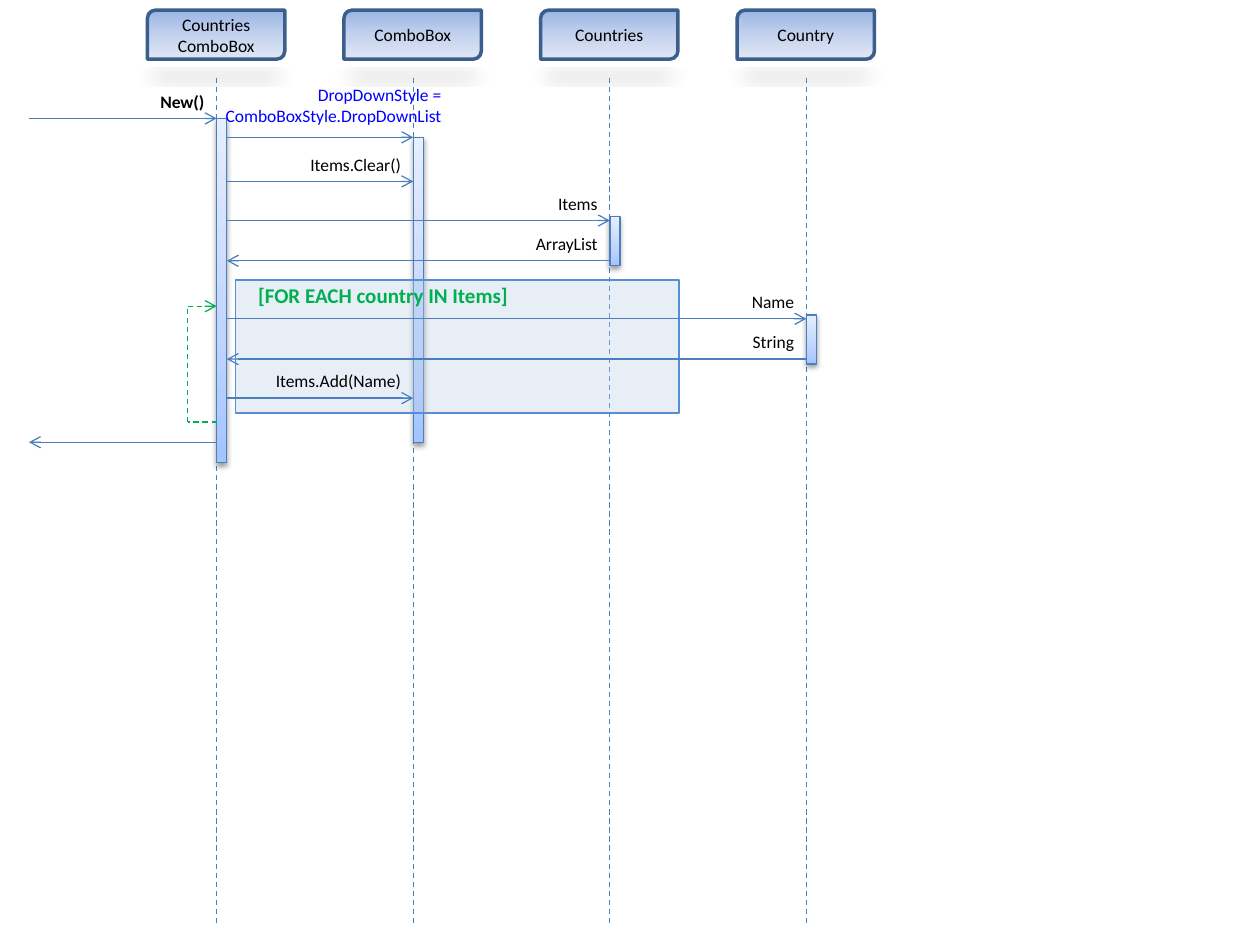
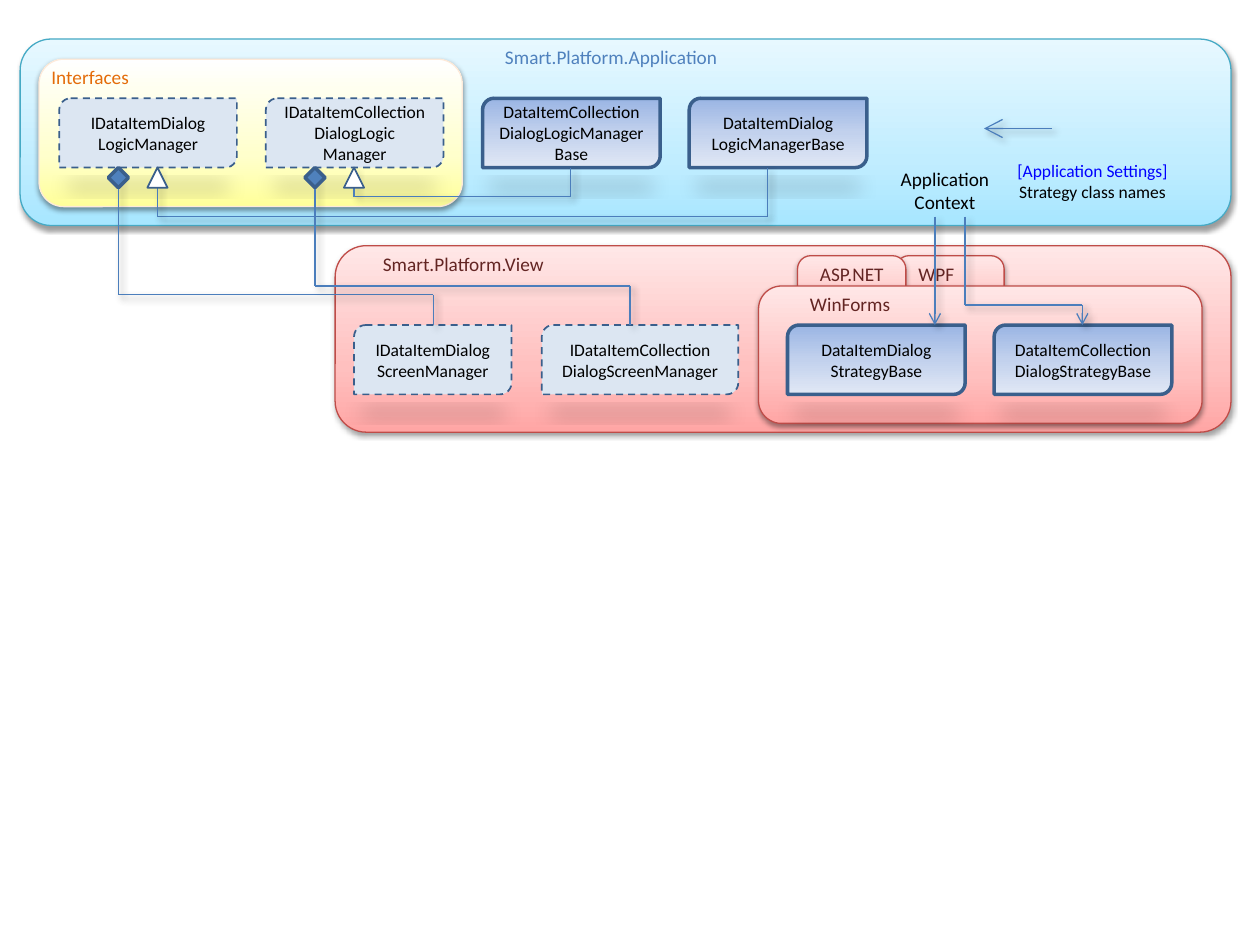
import pptx
import pptx.util
from pptx.dml.color import RGBColor
from pptx.enum.dml import MSO_LINE
from pptx.enum.shapes import MSO_CONNECTOR, MSO_SHAPE
from pptx.enum.text import MSO_ANCHOR, MSO_AUTO_SIZE, PP_ALIGN
from pptx.oxml import parse_xml
from pptx.oxml.ns import nsdecls, qn
from pptx.util import Inches

FONT = "Calibri"
BLACK = RGBColor(0x00, 0x00, 0x00)
WHITE = RGBColor(0xFF, 0xFF, 0xFF)
BLUE = RGBColor(0x00, 0x00, 0xFF)
GREEN = RGBColor(0x00, 0xB0, 0x50)
ORANGE = RGBColor(0xE4, 0x6C, 0x0A)
MAROON = RGBColor(0x63, 0x25, 0x23)
ACCENT = RGBColor(0x4F, 0x81, 0xBD)
LINE_BLUE = RGBColor(0x4B, 0x7E, 0xBC)
BORDER_BLUE = RGBColor(0x3A, 0x5F, 0x8C)
FRAME_FILL = RGBColor(0xB9, 0xCD, 0xE5)
FRAME_LINE = RGBColor(0x55, 0x8E, 0xD5)
INTERFACE_FILL = RGBColor(0xDC, 0xE6, 0xF2)
AQUA_LINE = RGBColor(0x46, 0xAA, 0xC5)
RED_LINE = RGBColor(0xBF, 0x4C, 0x48)
CREAM_LINE = RGBColor(0xFD, 0xEA, 0xDA)


def gradient(angle, middle, *colors):
    """Describe three stops, at 0, middle and 100 percent."""
    return angle, list(zip((0, middle, 100), colors))


CLASS_FILL = gradient(90, 50, RGBColor(0x9A, 0xB5, 0xE4),
                      RGBColor(0xC2, 0xD1, 0xED), RGBColor(0xE1, 0xE8, 0xF5))
BAR_FILL = gradient(270, 35, RGBColor(0xA4, 0xC4, 0xFF),
                    RGBColor(0xBF, 0xD4, 0xFF), RGBColor(0xE6, 0xEE, 0xFF))
AQUA_FILL = gradient(270, 35, RGBColor(0xA7, 0xE6, 0xFF),
                     RGBColor(0xC1, 0xED, 0xFF), RGBColor(0xE7, 0xF8, 0xFF))
YELLOW_FILL = gradient(270, 35, RGBColor(0xFF, 0xFF, 0x99),
                       RGBColor(0xFF, 0xFF, 0xCC), WHITE)
RED_FILL = gradient(270, 35, RGBColor(0xFF, 0xA6, 0xA5),
                    RGBColor(0xFF, 0xC0, 0xBF), RGBColor(0xFF, 0xE7, 0xE7))

# Shadows: opacity percent, blur and distance in points, angle, extra scaling
BAR_SHADOW = (38, 3.1, 1.6, 90, "")
CLASS_SHADOW = (15, 12, 7, 90, 'sx="90000" sy="-19000"')
LINE_SHADOW = (40, 4, 3, 45, "")

LIFELINE_X = [1.72 + 1.56 * i for i in range(4)]
BAR_W = 0.08


def set_shadow(effects, shadow):
    alpha, blur, dist, angle, scaling = shadow
    effects.append(parse_xml(
        f'<a:outerShdw {nsdecls("a")} blurRad="{round(blur * 12700)}" '
        f'dist="{round(dist * 12700)}" dir="{angle * 60000}" {scaling} '
        f'rotWithShape="0"><a:srgbClr val="{BLACK}">'
        f'<a:alpha val="{alpha * 1000}"/></a:srgbClr></a:outerShdw>'))


def set_gradient(shape, fill):
    angle, stops = fill
    stops_xml = "".join(f'<a:gs pos="{pos * 1000}"><a:srgbClr val="{color}"/></a:gs>'
                        for pos, color in stops)
    shape._element.spPr.find(qn("a:prstGeom")).addnext(parse_xml(
        f'<a:gradFill {nsdecls("a")} rotWithShape="1"><a:gsLst>{stops_xml}</a:gsLst>'
        f'<a:lin ang="{angle * 60000}" scaled="0"/></a:gradFill>'))


def write(tf, paragraphs, size, align, bold=False):
    """Fill a frame; each paragraph is a list of (text, colour) runs."""
    tf.word_wrap = True
    for i, runs in enumerate(paragraphs):
        p = tf.paragraphs[0] if i == 0 else tf.add_paragraph()
        p.alignment = align
        for text, color in runs:
            r = p.add_run()
            r.text = text
            r.font.name = FONT
            r.font.size = pptx.util.Pt(size)
            r.font.bold = bold
            r.font.color.rgb = color


def add_box(s, kind, at, fill, line, width=0.75, shadow=None, dash=False):
    sp = s.shapes.add_shape(kind, *map(Inches, at))
    if isinstance(fill, RGBColor):
        sp.fill.solid()
        sp.fill.fore_color.rgb = fill
    else:
        set_gradient(sp, fill)
    sp.line.color.rgb = line
    sp.line.width = pptx.util.Pt(width)
    if dash:
        sp.line.dash_style = MSO_LINE.DASH
    sp.shadow.inherit = False
    if shadow:
        set_shadow(sp._element.spPr.find(qn("a:effectLst")), shadow)
    return sp


def add_class(s, at, lines, interface=False):
    """Class box; an interface is pale with a dashed border."""
    fill, width = (INTERFACE_FILL, 1) if interface else (CLASS_FILL, 2)
    sp = add_box(s, MSO_SHAPE.ROUND_2_DIAG_RECTANGLE, at, fill, BORDER_BLUE, width,
                 CLASS_SHADOW, interface)
    sp.text_frame.vertical_anchor = MSO_ANCHOR.MIDDLE
    write(sp.text_frame, [[(text, BLACK)] for text in lines], 10, PP_ALIGN.CENTER)


def add_panel(s, at, fill, line):
    add_box(s, MSO_SHAPE.ROUNDED_RECTANGLE, at, fill, line, shadow=BAR_SHADOW)


def add_text(s, at, paragraphs, size=11, align=PP_ALIGN.LEFT, bold=False):
    tf = s.shapes.add_textbox(*map(Inches, at)).text_frame
    tf.auto_size = MSO_AUTO_SIZE.SHAPE_TO_FIT_TEXT
    write(tf, paragraphs, size, align, bold)


def add_route(s, points, color=LINE_BLUE, arrow=None, dash=False, shadow=None):
    """Join points by straight connectors; arrow is the size of a final head."""
    for start, end in zip(points, points[1:]):
        c = s.shapes.add_connector(MSO_CONNECTOR.STRAIGHT, *map(Inches, start + end))
        c.line.color.rgb = color
        c.line.width = pptx.util.Pt(0.75)
        if dash:
            c.line.dash_style = MSO_LINE.DASH
        if arrow and end == points[-1]:
            c.line._get_or_add_ln().append(parse_xml(
                f'<a:tailEnd {nsdecls("a")} type="arrow" w="{arrow}" len="{arrow}"/>'))
        effects = parse_xml(f'<a:effectLst {nsdecls("a")}/>')
        if shadow:
            set_shadow(effects, shadow)
        c._element.spPr.append(effects)


def add_lifeline(s, x, lines, bar_top, bar_height):
    add_class(s, (x - 0.55, 0.08, 1.09, 0.39), lines)
    add_route(s, [(x, 0.62), (x, 7.34)], dash=True)
    add_box(s, MSO_SHAPE.RECTANGLE, (x, bar_top, BAR_W, bar_height), BAR_FILL,
            LINE_BLUE, shadow=BAR_SHADOW)


def add_message(s, start, end, y, text=None, width=1.5, bold=False):
    """Arrow with a label that ends above its right-hand end."""
    add_route(s, [(start, y), (end, y)], arrow="med")
    if text:
        add_text(s, (max(start, end) - width, y - 0.27, width, 0.27),
                 [[(text, BLACK)]], 10, PP_ALIGN.RIGHT, bold)


def build_sequence(s):
    form, combo, countries, country = LIFELINE_X
    form_right = form + BAR_W
    add_lifeline(s, form, ["Countries", "ComboBox"], 0.94, 2.73)
    add_lifeline(s, combo, ["ComboBox"], 1.09, 2.42)
    add_lifeline(s, countries, ["Countries"], 1.72, 0.39)
    add_lifeline(s, country, ["Country"], 2.5, 0.39)

    add_message(s, 0.23, form, 0.94, "New()", 0.64, bold=True)
    add_text(s, (1.17, 0.62, 2.43, 0.44),
             [[("DropDownStyle = ComboBoxStyle.DropDownList", BLUE)]], 10, PP_ALIGN.RIGHT)
    add_message(s, form_right, combo, 1.09)
    add_message(s, form_right, combo, 1.44, "Items.Clear()")
    add_message(s, form_right, countries, 1.75, "Items", 0.7)
    add_message(s, countries, form_right, 2.07, "ArrayList", 0.7)

    frame = add_box(s, MSO_SHAPE.RECTANGLE, (1.87, 2.22, 3.52, 1.06), FRAME_FILL,
                    FRAME_LINE, 1)
    color = frame._element.spPr.find(qn("a:solidFill")).find(qn("a:srgbClr"))
    color.append(parse_xml(f'<a:alpha {nsdecls("a")} val="33000"/>'))
    add_text(s, (1.95, 2.19, 3.67, 0.3), [[("[FOR EACH country IN Items]", GREEN)]],
             12, bold=True)

    add_message(s, form_right, combo, 3.16, "Items.Add(Name)")
    add_message(s, form_right, country, 2.53, "Name", 1.06)
    add_message(s, country, form_right, 2.85, "String", 1.06)
    add_message(s, form, 0.23, 3.51)
    add_route(s, [(form, 3.35), (1.49, 3.35), (1.49, 2.43), (form, 2.43)], GREEN,
              arrow="med", dash=True)


def add_inheritance(s, base_x, turn_y, derived_x):
    add_route(s, [(derived_x, 1.33), (derived_x, turn_y), (base_x, turn_y),
                  (base_x, 1.33)], shadow=LINE_SHADOW)
    add_box(s, MSO_SHAPE.ISOSCELES_TRIANGLE, (base_x - 0.08, 1.33, 0.16, 0.16),
            WHITE, BORDER_BLUE, 1)


def add_aggregation(s, owner_x, turn_y, part_x):
    add_route(s, [(owner_x, 1.33), (owner_x, turn_y), (part_x, turn_y),
                  (part_x, 2.58)], shadow=LINE_SHADOW)
    add_box(s, MSO_SHAPE.DIAMOND, (owner_x - 0.08, 1.33, 0.16, 0.16), ACCENT,
            BORDER_BLUE, 2)


def build_application(s):
    add_panel(s, (0.16, 0.31, 9.61, 1.48), AQUA_FILL, AQUA_LINE)
    add_text(s, (3.91, 0.31, 2.34, 0.29), [[("Smart.Platform.Application", ACCENT)]])
    add_text(s, (7.03, 1.28, 0.94, 0.47),
             [[("Application", BLACK)], [("Context", BLACK)]], align=PP_ALIGN.CENTER)
    add_route(s, [(8.35, 1.02), (7.81, 1.02)], arrow="lg", shadow=LINE_SHADOW)
    add_text(s, (7.89, 1.22, 1.56, 0.44),
             [[("[Application Settings] ", BLUE), ("Strategy class names", BLACK)]],
             10, PP_ALIGN.CENTER)
    add_panel(s, (0.31, 0.47, 3.36, 1.17), YELLOW_FILL, CREAM_LINE)
    add_text(s, (0.31, 0.47, 1.66, 0.29), [[("Interfaces", ORANGE)]])
    for x, lines, interface in [
        (0.47, ["IDataItemDialog", "LogicManager"], True),
        (2.11, ["IDataItemCollectionDialogLogic", "Manager"], True),
        (3.83, ["DataItemCollectionDialogLogicManagerBase"], False),
        (5.47, ["DataItemDialog", "LogicManagerBase"], False),
    ]:
        add_class(s, (x, 0.78, 1.41, 0.55), lines, interface)
    add_inheritance(s, 1.25, 1.72, 6.09)
    add_inheritance(s, 2.81, 1.56, 4.53)


def build_view(s):
    for at, title, title_x, title_w in [
        ((2.66, 1.95, 7.11, 1.48), "Smart.Platform.View", 2.94, 3.93),
        ((7.11, 2.03, 0.86, 0.63), "WPF", 7.19, 0.7),
        ((6.33, 2.03, 0.86, 0.63), "ASP.NET", 6.41, 0.86),
        ((6.02, 2.27, 3.52, 1.09), "WinForms", 6.33, 1.79),
    ]:
        add_panel(s, at, RED_FILL, RED_LINE)
        add_text(s, (title_x, at[1], title_w, 0.29), [[(title, MAROON)]])
    for x, width, lines, interface in [
        (2.81, 1.25, ["IDataItemDialog", "ScreenManager"], True),
        (4.3, 1.56, ["IDataItemCollection", "DialogScreenManager"], True),
        (6.25, 1.41, ["DataItemDialog", "StrategyBase"], False),
        (7.89, 1.41, ["DataItemCollectionDialogStrategyBase"], False),
    ]:
        add_class(s, (x, 2.58, width, 0.55), lines, interface)


def build_architecture(s):
    build_application(s)
    build_view(s)
    add_aggregation(s, 0.94, 2.34, 3.44)
    add_aggregation(s, 2.5, 2.27, 5)
    add_route(s, [(7.66, 1.72), (7.66, 2.42), (8.59, 2.42), (8.59, 2.58)],
              arrow="med", shadow=LINE_SHADOW)
    add_route(s, [(7.42, 1.72), (7.42, 2.58)], arrow="med", shadow=LINE_SHADOW)


def main():
    prs = pptx.Presentation()
    prs.slide_width = Inches(10)
    prs.slide_height = Inches(7.5)
    for build in (build_sequence, build_architecture):
        build(prs.slides.add_slide(prs.slide_layouts[6]))
    prs.save("out.pptx")


if __name__ == "__main__":
    main()
